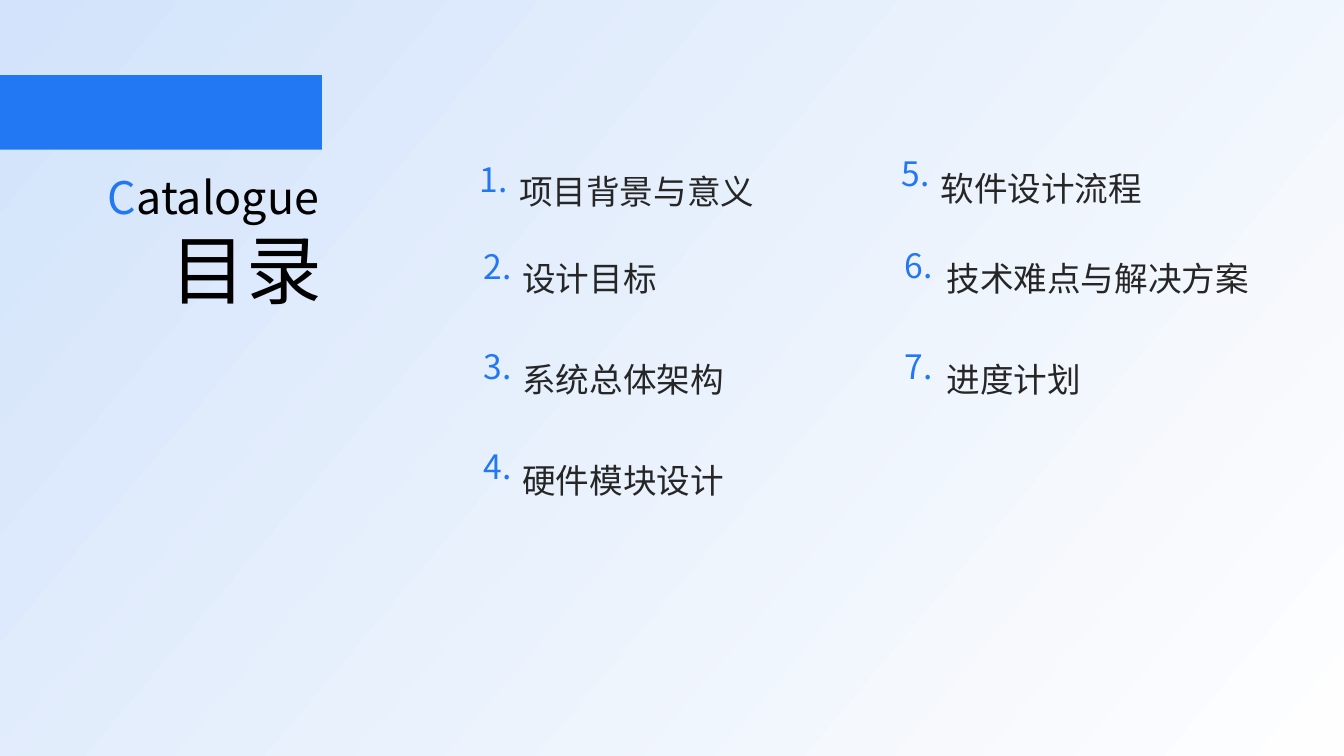
from dataclasses import dataclass

import lxml.etree
import pptx
import pptx.dml.color
import pptx.enum.shapes
import pptx.enum.text
import pptx.oxml.ns
import pptx.util

Pt = pptx.util.Pt
ALIGN = pptx.enum.text.PP_ALIGN
FONT = "Noto Sans CJK SC"
COLORS = {"blue": "2278F2", "ink": "262626", "black": "000000",
          "sky": "D3E4FC", "white": "FFFFFF"}
SLIDE_WIDTH, SLIDE_HEIGHT = 960, 540


@dataclass(frozen=True)
class Label:
    runs: tuple[tuple[str, str], ...]
    left: float
    top: float
    width: float
    height: float
    size: float
    align: ALIGN
    spacing: float | None = None
    grows: bool = True


@dataclass(frozen=True)
class Chapter:
    number: int
    title: str
    number_left: float
    number_top: float
    title_left: float
    title_top: float
    number_height: float = 25.9


CHAPTERS = (
    Chapter(1, "项目背景与意义", 337, 113.8, 370.8, 116.6),
    Chapter(2, "设计目标", 339.8, 175.5, 373, 178.6),
    Chapter(3, "系统总体架构", 339.8, 247, 373, 250.6),
    Chapter(4, "硬件模块设计", 339.8, 318.4, 373, 322.6),
    Chapter(5, "软件设计流程", 638.6, 109.4, 671.8, 113.8),
    Chapter(6, "技术难点与解决方案", 640.8, 172.1, 676.1, 178.6, 31.7),
    Chapter(7, "进度计划", 640.8, 244.1, 676.1, 250.6, 31.7),
)
HEADINGS = (
    Label((("C", "blue"), ("atalogue", "black")), 0, 124.6, 228.2, 31.7, 32, ALIGN.RIGHT),
    Label((("目录", "black"),), 83.5, 164.9, 146.2, 54, 54, ALIGN.RIGHT),
)


def rgb(name: str) -> pptx.dml.color.RGBColor:
    return pptx.dml.color.RGBColor.from_string(COLORS[name])


def add_rectangle(slide: pptx.slide.Slide, left: float, top: float,
                  width: float, height: float) -> pptx.shapes.autoshape.Shape:
    rectangle = slide.shapes.add_shape(
        pptx.enum.shapes.MSO_SHAPE.RECTANGLE, Pt(left), Pt(top), Pt(width), Pt(height))
    rectangle.shadow.inherit = False
    rectangle.line.fill.background()
    return rectangle


def add_backdrop(slide: pptx.slide.Slide) -> None:
    backdrop = add_rectangle(slide, 0, 0, SLIDE_WIDTH, SLIDE_HEIGHT)
    backdrop.fill.gradient()
    backdrop.fill.gradient_angle = 320
    for stop, name, position in zip(backdrop.fill.gradient_stops, ("sky", "white"), (0, 1)):
        stop.color.rgb = rgb(name)
        stop.position = position
    white = backdrop.element.spPr.findall(".//" + pptx.oxml.ns.qn("a:srgbClr"))[-1]
    lxml.etree.SubElement(white, pptx.oxml.ns.qn("a:alpha"), val="85000")


def add_label(slide: pptx.slide.Slide, label: Label) -> None:
    frame = slide.shapes.add_textbox(
        Pt(label.left), Pt(label.top), Pt(label.width), Pt(label.height)).text_frame
    frame.margin_left = frame.margin_top = frame.margin_right = frame.margin_bottom = 0
    frame.word_wrap = True
    if label.grows:
        frame.vertical_anchor = pptx.enum.text.MSO_ANCHOR.MIDDLE
        frame.auto_size = pptx.enum.text.MSO_AUTO_SIZE.SHAPE_TO_FIT_TEXT
    paragraph = frame.paragraphs[0]
    paragraph.alignment = label.align
    if label.spacing:
        paragraph.line_spacing = label.spacing
    paragraph.font.size = Pt(label.size)
    paragraph.font.name = FONT
    defaults = paragraph._p.pPr.find(pptx.oxml.ns.qn("a:defRPr"))
    lxml.etree.SubElement(defaults, pptx.oxml.ns.qn("a:ea"), typeface=FONT)
    if len(label.runs) == 1:
        paragraph.font.color.rgb = rgb(label.runs[0][1])
    for text, color in label.runs:
        run = paragraph.add_run()
        run.text = text
        if len(label.runs) > 1:
            run.font.color.rgb = rgb(color)


def add_chapter(slide: pptx.slide.Slide, chapter: Chapter) -> None:
    add_label(slide, Label(((f"{chapter.number}.", "blue"),), chapter.number_left,
                           chapter.number_top, 31, chapter.number_height, 24,
                           ALIGN.CENTER, 1.1))
    add_label(slide, Label(((chapter.title, "ink"),), chapter.title_left,
                           chapter.title_top, 226.8, 51.1, 24, ALIGN.LEFT, 1.2, False))


def main() -> None:
    presentation = pptx.Presentation()
    presentation.slide_width = Pt(SLIDE_WIDTH)
    presentation.slide_height = Pt(SLIDE_HEIGHT)
    slide = presentation.slides.add_slide(presentation.slide_layouts[6])
    add_backdrop(slide)
    for chapter in CHAPTERS:
        add_chapter(slide, chapter)
    for heading in HEADINGS:
        add_label(slide, heading)
    banner = add_rectangle(slide, 74.9, -48.3, 53.3, 257)
    banner.rotation = 270
    banner.fill.solid()
    banner.fill.fore_color.rgb = rgb("blue")
    presentation.save("out.pptx")


if __name__ == "__main__":
    main()
